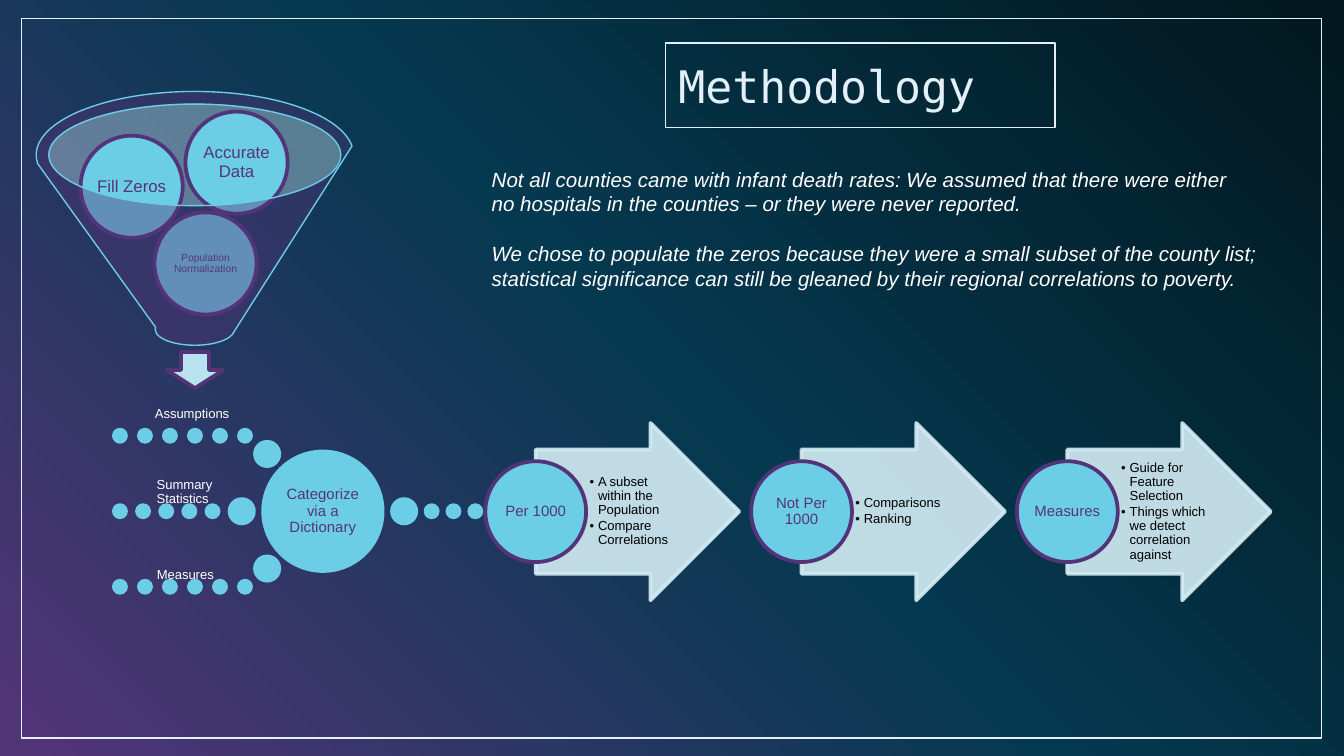
import copy

import pptx
import pptx.dml.color
import pptx.enum.shapes
import pptx.enum.text
import pptx.oxml
import pptx.oxml.ns
import pptx.util

Pt = pptx.util.Pt
KIND = pptx.enum.shapes.MSO_SHAPE
ALIGN = pptx.enum.text.PP_ALIGN
ANCHOR = pptx.enum.text.MSO_ANCHOR
qn = pptx.oxml.ns.qn

SKY, PLUM, PALE, ICE = "6CCDE6", "543479", "E4F0F7", "D4EDF5"
WHITE, BLACK = "FFFFFF", "000000"
DOT, BEAD = 6.5, 13


def color(text):
    return pptx.dml.color.RGBColor.from_string(text)


def paint(fill, tint, alpha=100):
    """Solid fill, see-through when alpha is below 100."""
    if tint is None:
        fill.background()
        return
    fill.solid()
    fill.fore_color.rgb = color(tint)
    if alpha < 100:
        node = fill.fore_color._xFill.find(qn("a:srgbClr"))
        pptx.oxml.ns  # namespace helpers
        node.append(pptx.oxml.parse_xml(
            f'<a:alpha {pptx.oxml.ns.nsdecls("a")} val="{alpha * 1000}"/>'))


def draw(slide, kind, x, y, w, h, fill, edge=None, width=2, alpha=100, haze=100):
    shape = slide.shapes.add_shape(kind, Pt(x), Pt(y), Pt(w), Pt(h))
    shape.shadow.inherit = False
    paint(shape.fill, fill, alpha)
    paint(shape.line.fill, edge, haze)
    if edge:
        shape.line.width = Pt(width)
    return shape


def set_up(shape, inset, anchor, wrap=True):
    frame = shape.text_frame
    frame.word_wrap = wrap
    frame.vertical_anchor = anchor
    frame.margin_left = frame.margin_right = Pt(inset)
    frame.margin_top = frame.margin_bottom = Pt(inset)
    return frame


def write(para, text, size, tint, font="Arial", italic=False):
    run = para.add_run()
    run.text = text
    run.font.size = Pt(size)
    run.font.name = font
    run.font.italic = italic
    run.font.color.rgb = color(tint)


def label(slide, x, y, w, h, text, anchor, align=ALIGN.LEFT, inset=0):
    box = slide.shapes.add_textbox(Pt(x), Pt(y), Pt(w), Pt(h))
    para = set_up(box, inset, anchor).paragraphs[0]
    para.alignment = align
    para.line_spacing = 0.9
    write(para, text, 7, WHITE)


def ball(slide, x, y, size, text, points, edge=PLUM):
    shape = draw(slide, KIND.OVAL, x, y, size, size, SKY, edge)
    para = set_up(shape, 0.7, ANCHOR.MIDDLE).paragraphs[0]
    para.alignment = ALIGN.CENTER
    para.line_spacing = 0.9
    write(para, text, points, PLUM)


def dots(slide, x, y, count, gap, size=DOT):
    for i in range(count):
        draw(slide, KIND.OVAL, x + i * gap, y, size, size, SKY, SKY)


def backdrop(slide, x, y, w, h):
    fill = slide.background.fill
    fill.gradient()
    fill.gradient_angle = 45
    stops = slide.element.find(".//" + qn("a:gsLst"))
    stops.append(copy.deepcopy(stops[-1]))
    tints = [PLUM, "053950", "02171E"]
    for i, stop in enumerate(fill.gradient_stops):
        stop.color.rgb = color(tints[i])
        stop.position = i / 2
    draw(slide, KIND.RECTANGLE, x, y, w, h, None, PALE, 0.75)


def title(slide, x, y, w, h):
    shape = draw(slide, KIND.RECTANGLE, x, y, w, h, None, PALE, 0.75)
    para = set_up(shape, 7.2, ANCHOR.MIDDLE).paragraphs[0]
    para.alignment = ALIGN.LEFT
    write(para, "Methodology", 24, PALE, "DejaVu Sans Mono")


def sources(slide, x, y, w, h):
    """Three dotted rows that run into one circle, and a row that leads on."""
    mid = y + h / 2
    dots(slide, x + 167, mid - DOT / 2, 3, 11.7)
    dots(slide, x + 149, mid - BEAD / 2, 1, 0, BEAD)
    ball(slide, x + 80, mid - 32, 64, "Categorize via a Dictionary", 8, SKY)
    # Top, middle and bottom rows: dot top, count, gap, bead left and top
    rows = [(y, 6, 13.4, 75.6, y + 6.5),
            (mid - DOT / 2, 5, 12.4, 62, mid - BEAD / 2),
            (y + h - DOT, 6, 13.4, 75.6, y + h - 6.5 - BEAD)]
    for top, count, gap, left, high in rows:
        dots(slide, x, top, count, gap)
        dots(slide, x + left, high, 1, 0, BEAD)
    label(slide, x + 23, mid - 19.4, 41, 16.6, "Summary Statistics", ANCHOR.BOTTOM)
    label(slide, x + 23, y + h - 22.4, 54, 16.6, "Measures", ANCHOR.BOTTOM)


def step(slide, x, y, w, h, name, points):
    """An arrow with bullets and a named circle on its tail."""
    size = 54
    arrow = draw(slide, KIND.RIGHT_ARROW, x + size / 2, y, w - size / 2, h,
                 ICE, ICE, 2, 90, 90)
    arrow.adjustments[0] = 0.7
    arrow.adjustments[1] = 0.5
    box = slide.shapes.add_textbox(Pt(x + 54.5), Pt(y + 14.4), Pt(52.6), Pt(h - 28.8))
    frame = set_up(box, 0, ANCHOR.MIDDLE)
    frame.margin_left, frame.margin_right = Pt(1.4), Pt(0.7)
    for i, text in enumerate(points):
        para = frame.add_paragraph() if i else frame.paragraphs[0]
        props = para._p.get_or_add_pPr()
        props.set("marL", str(Pt(4.5)))
        props.set("indent", str(-Pt(4.5)))
        space = pptx.oxml.ns.nsdecls("a")
        for part in (f'<a:buClr {space}><a:srgbClr val="{BLACK}"/></a:buClr>',
                     f'<a:buFont {space} typeface="Arial"/>',
                     f'<a:buChar {space} char="•"/>'):
            props.append(pptx.oxml.parse_xml(part))
        para.line_spacing = 0.9
        para.space_after = Pt(1)
        write(para, text, 7, BLACK)
    ball(slide, x, y + (h - size) / 2, size, name, 8)


def funnel(slide, x, y, w, h):
    """Balls in a funnel, with an arrow down to a label."""
    draw(slide, KIND.OVAL, x + 6.5, y + 6.4, w - 13.7, 54.7, "C8E8F3", alpha=40)
    draw(slide, KIND.DOWN_ARROW, x + 70, y + 139.6, 30.2, 19.4, "BAE3F0", PLUM)
    label(slide, x + 10.8, y + h - 36.7, 145.4, 36.7, "Assumptions",
          ANCHOR.MIDDLE, ALIGN.CENTER, 3.6)
    for left, top, text, points in [(63.4, 64.8, "Population Normalization", 5.5),
                                    (23.8, 23.7, "Fill Zeros", 9),
                                    (80, 10.8, "Accurate Data", 9)]:
        ball(slide, x + left, y + top, 54.7, text, points)
    draw(slide, KIND.FUNNEL, x, y, w, 136, PLUM, SKY, 0.75, 40)


def notes(slide, x, y, w, h):
    box = slide.shapes.add_textbox(Pt(x), Pt(y), Pt(w), Pt(h))
    frame = set_up(box, 3.6, ANCHOR.TOP, False)
    frame.margin_left = frame.margin_right = Pt(7.2)
    texts = [("Not all counties came with infant death rates: We assumed that there were either",
              "no hospitals in the counties – or they were never reported."),
             ("We chose to populate the zeros because they were a small subset of the county list;",
              "statistical significance can still be gleaned by their regional correlations to poverty.")]
    for i, lines in enumerate(texts):
        para = frame.add_paragraph() if i else frame.paragraphs[0]
        if i:
            para.space_before = Pt(13.5)
        for j, line in enumerate(lines):
            if j:
                para.add_line_break()
            write(para, line, 11, WHITE, italic=True)


def main():
    deck = pptx.Presentation()
    deck.slide_width, deck.slide_height = Pt(720), Pt(405)
    slide = deck.slides.add_slide(deck.slide_layouts[6])
    backdrop(slide, 11.5, 10, 696.5, 385.5)
    title(slide, 356.4, 23, 208.8, 45.4)
    sources(slide, 61, 230.2, 200, 87.4)
    steps = [("Per 1000", ["A subset within the Population", "Compare Correlations"]),
             ("Not Per 1000", ["Comparisons", "Ranking"]),
             ("Measures", ["Guide for Feature Selection",
                           "Things which we detect correlation against"])]
    for i, (name, points) in enumerate(steps):
        step(slide, 260 + i * 142.4, 226.6, 136, 95, name, points)
    funnel(slide, 19.4, 49, 170, 191.5)
    notes(slide, 256.3, 85.7, 430, 74)
    deck.save("out.pptx")


if __name__ == "__main__":
    main()
